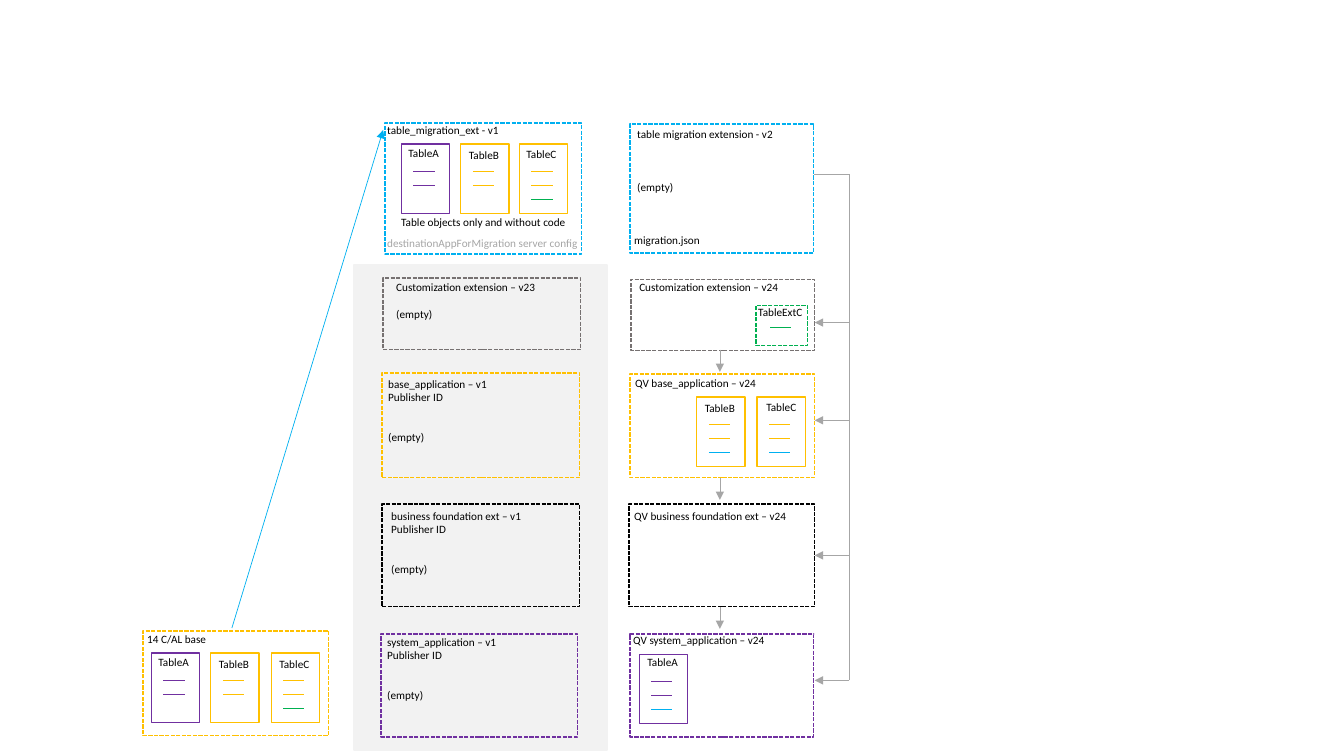
from dataclasses import dataclass

from pptx import Presentation
from pptx.dml.color import RGBColor
from pptx.enum.dml import MSO_LINE
from pptx.enum.shapes import MSO_CONNECTOR, MSO_SHAPE
from pptx.oxml.ns import qn
from pptx.oxml.xmlchemy import OxmlElement
from pptx.shapes.shapetree import GroupShapes, SlideShapes
from pptx.util import Emu, Pt

RECT = MSO_SHAPE.RECTANGLE
STRAIGHT = MSO_CONNECTOR.STRAIGHT
DASH = MSO_LINE.SQUARE_DOT
EMU_PER_PX = 9144  # 100 px to the inch

Shapes = SlideShapes | GroupShapes


@dataclass(frozen=True)
class Theme:
    font: str = "Calibri"
    text_size: float = 8
    blank_line: float = 9.5
    outline: float = 1
    thin: float = 0.5
    black: str = "000000"
    panel: str = "F2F2F2"
    grey: str = "767171"
    silver: str = "A6A6A6"
    yellow: str = "FFC000"
    purple: str = "7030A0"
    blue: str = "00B0F0"
    green: str = "00B050"


T = Theme()


@dataclass(frozen=True)
class Frame:
    x: int
    y: int
    w: int
    h: int
    color: str


@dataclass(frozen=True)
class Para:
    text: str
    blanks_before: int = 0


@dataclass(frozen=True)
class Note:
    x: int
    y: int
    w: int
    h: int
    paras: tuple[Para, ...]
    color: str = T.black
    inset: int = 4


@dataclass(frozen=True)
class Card:
    """A database table: outline, name and one mark per field."""
    x: int
    y: int
    color: str
    name: str
    name_dx: int
    name_dy: int
    marks: tuple[str, ...]


@dataclass(frozen=True)
class Link:
    x1: int
    y1: int
    x2: int
    y2: int
    color: str = T.silver
    width: float = T.thin
    arrow: bool = True


def px(n: int) -> Emu:
    return Emu(n * EMU_PER_PX)


def rgb(color: str) -> RGBColor:
    return RGBColor.from_string(color)


def add_frame(shapes: Shapes, f: Frame, dashed: bool = True, fill: str = "") -> None:
    sp = shapes.add_shape(RECT, px(f.x), px(f.y), px(f.w), px(f.h))
    sp.shadow.inherit = False
    if fill:
        sp.fill.solid()
        sp.fill.fore_color.rgb = rgb(fill)
    else:
        sp.fill.background()
    sp.line.color.rgb = rgb(f.color)
    sp.line.width = Pt(T.outline)
    if dashed:
        sp.line.dash_style = DASH


def add_link(shapes: Shapes, link: Link) -> None:
    sp = shapes.add_connector(STRAIGHT, px(link.x1), px(link.y1), px(link.x2), px(link.y2))
    sp.line.color.rgb = rgb(link.color)
    sp.line.width = Pt(link.width)
    properties = sp._element.spPr
    if link.arrow:
        end = OxmlElement("a:tailEnd")
        end.set("type", "triangle")
        properties.find(qn("a:ln")).append(end)
    properties.append(OxmlElement("a:effectLst"))


def add_note(shapes: Shapes, note: Note) -> None:
    tf = shapes.add_textbox(px(note.x), px(note.y), px(note.w), px(note.h)).text_frame
    tf.word_wrap = True
    tf.margin_left = tf.margin_right = px(note.inset)
    tf.margin_top = tf.margin_bottom = px(min(note.inset, 5))
    for i, para in enumerate(note.paras):
        p = tf.add_paragraph() if i else tf.paragraphs[0]
        p.text = para.text
        p.space_before = Pt(para.blanks_before * T.blank_line)
        p.font.name = T.font
        p.font.size = Pt(T.text_size)
        p.font.color.rgb = rgb(note.color)


def add_mark(shapes: Shapes, x: int, y: int, color: str) -> None:
    add_link(shapes, Link(x, y, x + 21, y, color, T.outline, False))


def add_card(shapes: Shapes, card: Card) -> None:
    group = shapes.add_group_shape().shapes
    add_frame(group, Frame(card.x, card.y, 48, 69, card.color), dashed=False)
    for offset, color in zip((27, 41, 55), card.marks):
        add_mark(group, card.x + 12, card.y + offset, color)
    add_note(group, Note(card.x + card.name_dx, card.y + card.name_dy, 45, 21,
                         (Para(card.name),)))


def with_publisher(title: str) -> tuple[Para, ...]:
    return Para(title), Para("Publisher ID"), Para("(empty)", 2)


PANEL = Frame(351, 263, 251, 481, T.panel)
FRAMES = (
    Frame(142, 626, 184, 104, T.yellow),
    Frame(382, 122, 195, 130, T.blue),
    Frame(380, 276, 196, 71, T.grey),
    Frame(379, 370, 196, 104, T.yellow),
    Frame(379, 500, 196, 102, T.black),
    Frame(378, 629, 195, 102, T.purple),
    Frame(625, 123, 182, 128, T.blue),
    Frame(626, 277, 182, 71, T.grey),
    Frame(750, 303, 51, 40, T.green),
    Frame(625, 371, 183, 103, T.yellow),
    Frame(624, 500, 184, 102, T.black),
    Frame(625, 629, 182, 102, T.purple),
)
TWO_PURPLE = (T.purple,) * 2
TWO_YELLOW = (T.yellow,) * 2
CARDS = (
    Card(150, 648, T.purple, "TableA", 3, -2, TWO_PURPLE),
    Card(209, 648, T.yellow, "TableB", 4, 0, TWO_YELLOW),
    Card(269, 648, T.yellow, "TableC", 4, 0, TWO_YELLOW + (T.green,)),
    Card(398, 143, T.purple, "TableA", 3, -2, TWO_PURPLE),
    Card(457, 143, T.yellow, "TableB", 4, 0, TWO_YELLOW),
    Card(515, 143, T.yellow, "TableC", 3, -1, TWO_YELLOW + (T.green,)),
    Card(691, 394, T.yellow, "TableB", 4, 0, TWO_YELLOW + (T.blue,)),
    Card(751, 394, T.yellow, "TableC", 5, -1, TWO_YELLOW + (T.blue,)),
    Card(634, 649, T.purple, "TableA", 4, -3, TWO_PURPLE + (T.blue,)),
)
NOTES = (
    Note(142, 623, 175, 21, (Para("14 C/AL base"),)),
    Note(380, 118, 182, 21, (Para("table_migration_ext - v1"),)),
    Note(388, 209, 184, 24, (Para("Table objects only and without code"),), inset=10),
    Note(380, 230, 215, 21, (Para("destinationAppForMigration server config"),), T.silver),
    Note(389, 274, 163, 48, (Para("Customization extension – v23"), Para("(empty)", 1))),
    Note(381, 370, 170, 75, with_publisher("base_application – v1")),
    Note(384, 501, 157, 75, with_publisher("business foundation ext – v1")),
    Note(380, 626, 157, 75, with_publisher("system_application – v1")),
    Note(628, 122, 182, 89, (Para("table migration extension - v2"), Para("(empty)", 3))),
    Note(625, 227, 105, 21, (Para("migration.json"),)),
    Note(630, 274, 155, 21, (Para("Customization extension – v24"),)),
    Note(748, 299, 56, 21, (Para("TableExtC"),)),
    Note(626, 369, 147, 21, (Para("QV base_application – v24"),)),
    Note(625, 501, 172, 21, (Para("QV business foundation ext – v24"),)),
    Note(624, 624, 139, 21, (Para("QV system_application – v24"),)),
)
BUS_X, BUS_TOP, BUS_BOTTOM = 842, 173, 675
LINKS = (
    Link(230, 623, 380, 129, T.blue),
    Link(BUS_X, BUS_TOP, 807, BUS_TOP, arrow=False),
    Link(BUS_X, BUS_BOTTOM, BUS_X, BUS_TOP, arrow=False),
    *(Link(BUS_X, y, 808, y) for y in (320, 417, 551, BUS_BOTTOM)),
    *(Link(714, y, 714, y + 22) for y in (347, 474, 602)),
)


def main() -> None:
    prs = Presentation()
    prs.slide_width, prs.slide_height = px(1333), px(750)
    shapes = prs.slides.add_slide(prs.slide_layouts[6]).shapes
    add_frame(shapes, PANEL, dashed=False, fill=T.panel)
    for frame in FRAMES:
        add_frame(shapes, frame)
    for card in CARDS:
        add_card(shapes, card)
    add_mark(shapes, 764, 325, T.green)
    for note in NOTES:
        add_note(shapes, note)
    for link in LINKS:
        add_link(shapes, link)
    prs.save("out.pptx")


if __name__ == "__main__":
    main()
